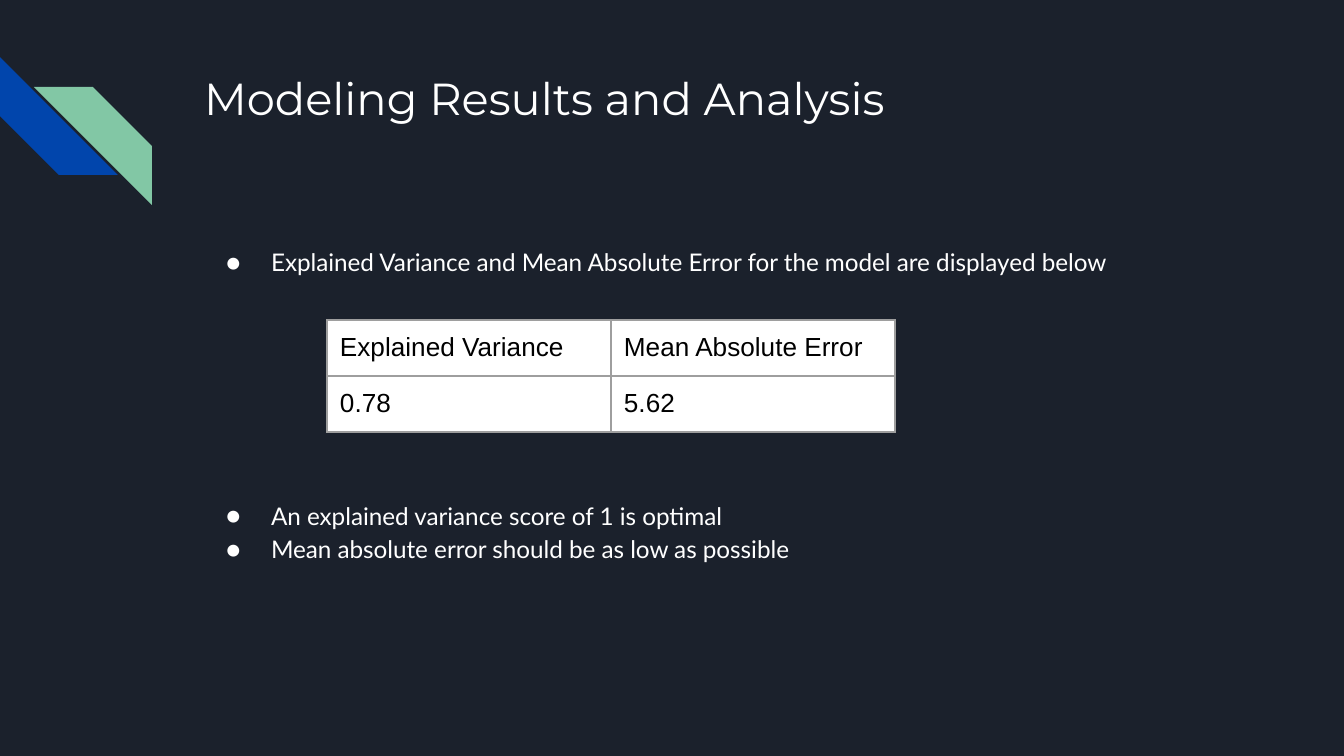
from dataclasses import dataclass

from lxml.etree import SubElement
from pptx import Presentation
from pptx.dml.color import RGBColor
from pptx.enum.shapes import MSO_SHAPE as Preset
from pptx.enum.text import MSO_ANCHOR as Anchor, MSO_AUTO_SIZE as AutoSize, PP_ALIGN as Align
from pptx.oxml.ns import qn
from pptx.util import Emu, Pt

EMU_PER_PX = 9144000 / 1344
INSET = 13


def px(length: int) -> Emu:
    return Emu(round(length * EMU_PER_PX))


@dataclass(frozen=True)
class Theme:
    background: str = "1B212C"
    blue: str = "0145AC"
    green: str = "82C7A5"
    light: str = "FFFFFF"
    dark: str = "000000"
    border: str = "9E9E9E"
    title_size: int = 24
    body_size: int = 13
    table_size: int = 14


@dataclass(frozen=True)
class Box:
    left: int
    top: int
    width: int
    height: int

    def emu(self) -> tuple:
        return tuple(px(n) for n in (self.left, self.top, self.width, self.height))


@dataclass(frozen=True)
class Stripe:
    box: Box
    color: str
    rotation: int = 0
    flipped: bool = False


@dataclass(frozen=True)
class Bullet:
    text: str
    space_before: int = 0


THEME = Theme()
STRIPES = (
    Stripe(Box(0, 57, 118, 118), THEME.blue, rotation=270),
    Stripe(Box(34, 87, 118, 118), THEME.green, flipped=True),
)
BULLETS = (
    Bullet("Explained Variance and Mean Absolute Error for the model are displayed below"),
    Bullet("An explained variance score of 1 is optimal", space_before=118),
    Bullet("Mean absolute error should be as low as possible"),
)
RESULTS = (("Explained Variance", "Mean Absolute Error"), ("0.78", "5.62"))


def apply(target, values: dict) -> None:
    for name, value in values.items():
        setattr(target, name, value)


def style_font(font, name: str, size: int, color: str) -> None:
    apply(font, {"name": name, "size": Pt(size), "bold": False})
    font.color.rgb = RGBColor.from_string(color)


def place_text(placeholder, box: Box):
    apply(placeholder, dict(zip(("left", "top", "width", "height"), box.emu())))
    frame = placeholder.text_frame
    apply(frame, {f"margin_{side}": px(INSET) for side in ("left", "right", "top", "bottom")})
    apply(frame, {"word_wrap": True, "auto_size": AutoSize.NONE, "vertical_anchor": Anchor.TOP})
    return frame


def draw_stripe(slide, stripe: Stripe) -> None:
    shape = slide.shapes.add_shape(Preset.DIAGONAL_STRIPE, *stripe.box.emu())
    shape.shadow.inherit = False
    shape.rotation = stripe.rotation
    shape.fill.solid()
    shape.fill.fore_color.rgb = RGBColor.from_string(stripe.color)
    shape.line.fill.background()
    if stripe.flipped:
        shape.element.spPr.find(qn("a:xfrm")).set("flipH", "1")


def write_bullet(paragraph, bullet: Bullet) -> None:
    apply(paragraph, {"alignment": Align.LEFT, "line_spacing": 1.15,
                      "space_before": Pt(bullet.space_before)})
    run = paragraph.add_run()
    run.text = bullet.text
    style_font(run.font, "Lato", THEME.body_size, THEME.light)
    properties = paragraph._p.get_or_add_pPr()
    properties.set("marL", str(px(67)))
    properties.set("indent", str(px(-45)))
    color = SubElement(properties, qn("a:buClr"))
    SubElement(color, qn("a:srgbClr"), val=THEME.light)
    SubElement(properties, qn("a:buFont"), typeface="Lato")
    SubElement(properties, qn("a:buChar"), char="●")


def style_cell(cell, text: str) -> None:
    apply(cell, {f"margin_{side}": px(INSET) for side in ("left", "right", "top", "bottom")})
    properties = cell._tc.get_or_add_tcPr()
    for edge in ("lnL", "lnR", "lnT", "lnB"):
        line = SubElement(properties, qn(f"a:{edge}"), w=str(Pt(0.75)))
        fill = SubElement(line, qn("a:solidFill"))
        SubElement(fill, qn("a:srgbClr"), val=THEME.border)
    cell.fill.solid()
    cell.fill.fore_color.rgb = RGBColor.from_string(THEME.light)
    run = cell.text_frame.paragraphs[0].add_run()
    run.text = text
    style_font(run.font, "Arial", THEME.table_size, THEME.dark)


def draw_table(slide, box: Box, rows: tuple) -> None:
    frame = slide.shapes.add_table(len(rows), len(rows[0]), *box.emu())
    table = frame.table
    apply(table, {"first_row": False, "horz_banding": False})
    for row, texts in zip(table.rows, rows):
        for cell, text in zip(row.cells, texts):
            style_cell(cell, text)


def main() -> None:
    presentation = Presentation()
    apply(presentation, {"slide_width": px(1344), "slide_height": px(756)})
    slide = presentation.slides.add_slide(presentation.slide_layouts[1])
    slide.background.fill.solid()
    slide.background.fill.fore_color.rgb = RGBColor.from_string(THEME.background)

    # Corner decoration
    for stripe in STRIPES:
        draw_stripe(slide, stripe)

    # Title
    title = place_text(slide.shapes.title, Box(191, 58, 1035, 134)).paragraphs[0]
    title.alignment = Align.LEFT
    run = title.add_run()
    run.text = "Modeling Results and Analysis"
    style_font(run.font, "Montserrat", THEME.title_size, THEME.light)

    # Bullets, with room for the table after the first one
    body = place_text(slide.placeholders[1], Box(191, 230, 1035, 427))
    for index, bullet in enumerate(BULLETS):
        write_bullet(body.add_paragraph() if index else body.paragraphs[0], bullet)

    # Results table
    draw_table(slide, Box(327, 320, 568, 112), RESULTS)

    presentation.save("out.pptx")


if __name__ == "__main__":
    main()
